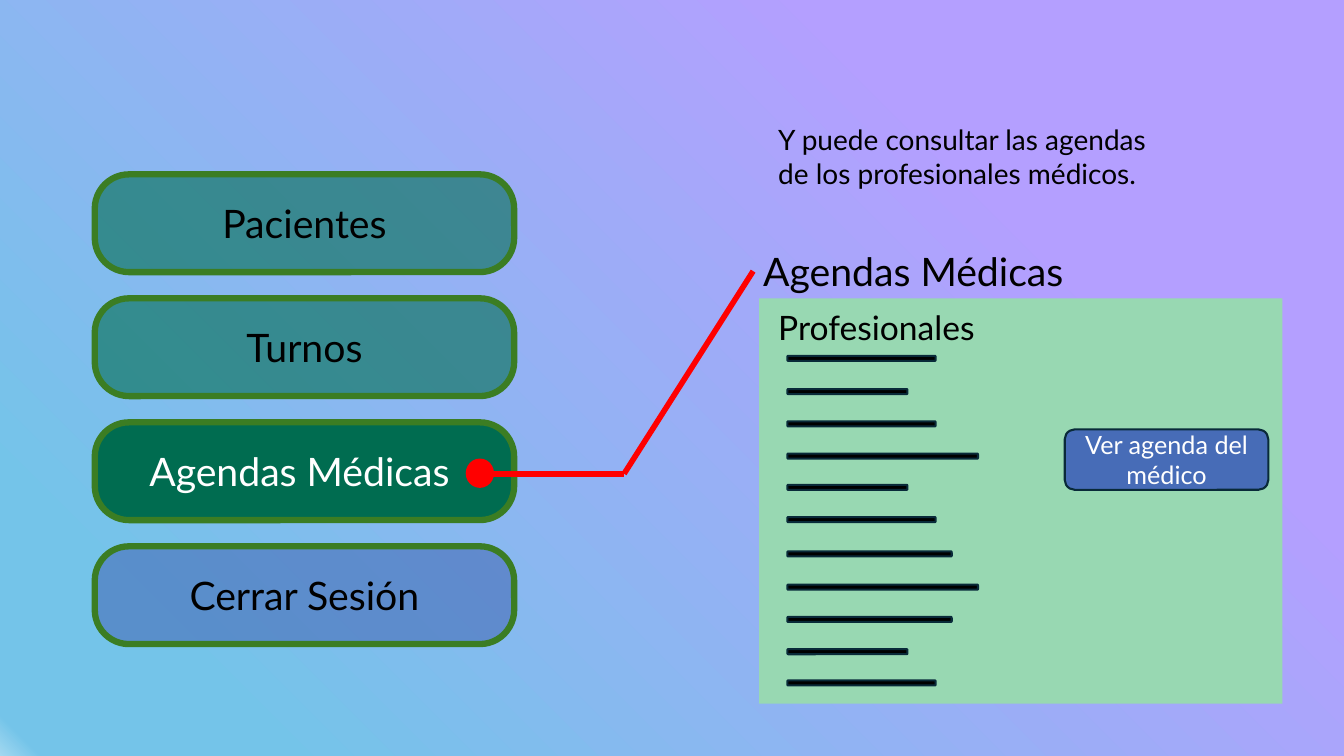
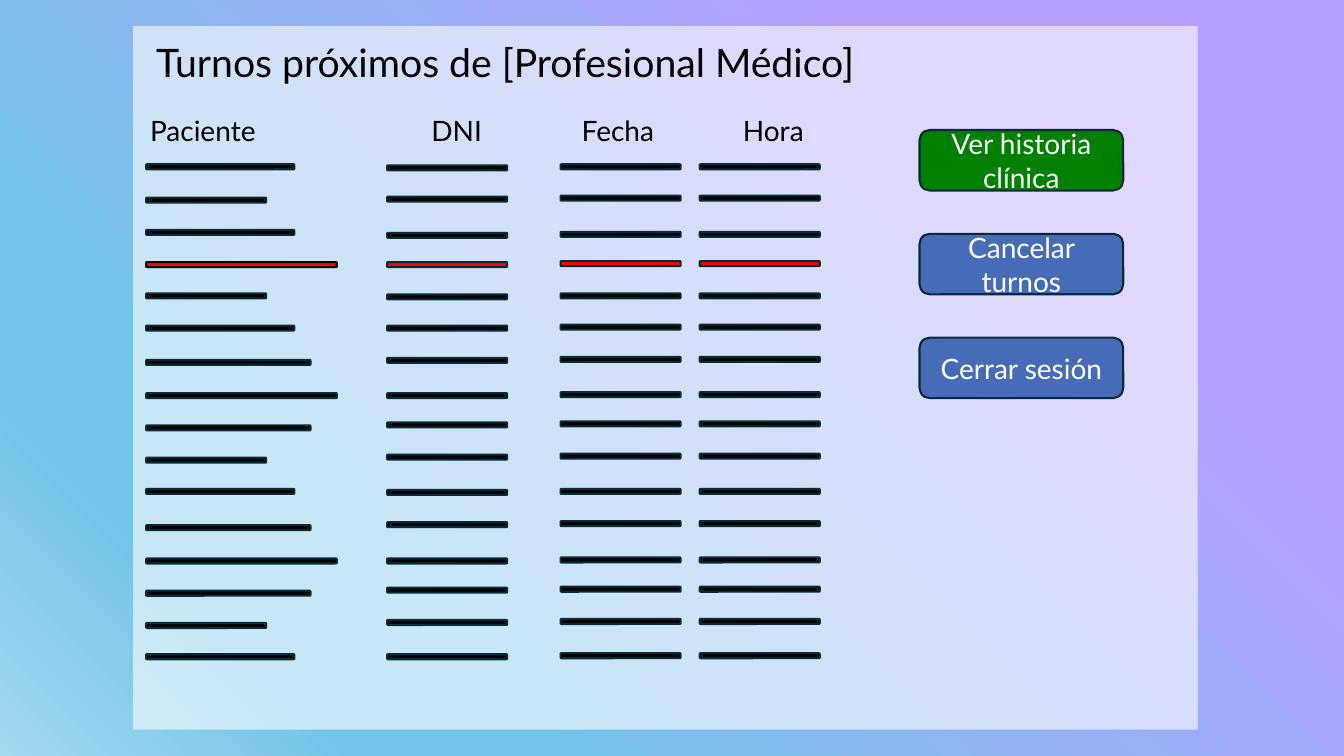
"""Build two slides that walk through a medical booking app."""
from dataclasses import dataclass

from lxml import etree
from pptx import Presentation
from pptx.dml.color import RGBColor
from pptx.enum.shapes import MSO_CONNECTOR, MSO_SHAPE
from pptx.enum.text import MSO_ANCHOR, MSO_AUTO_SIZE, PP_ALIGN
from pptx.oxml.ns import qn
from pptx.shapes.autoshape import Shape
from pptx.slide import Slide
from pptx.util import Inches, Pt

RECT, ROUND, OVAL = MSO_SHAPE.RECTANGLE, MSO_SHAPE.ROUNDED_RECTANGLE, MSO_SHAPE.OVAL
LINE = MSO_CONNECTOR.STRAIGHT
LEFT, CENTER = PP_ALIGN.LEFT, PP_ALIGN.CENTER
TOP, MIDDLE = MSO_ANCHOR.TOP, MSO_ANCHOR.MIDDLE
GROW, FIXED = MSO_AUTO_SIZE.SHAPE_TO_FIT_TEXT, MSO_AUTO_SIZE.NONE

FONT = "Lato"
BLACK, WHITE, RED = "000000", "FFFFFF", "FF0000"
NAVY, BLUE, TEAL, MOSS = "092A39", "476CB7", "006C50", "3B7D23"
GREEN, MINT = "008000", "98D8B2"
SHADES = ("B49FFF", "74C4E9", "74C4E9", "A2D8F0")

THIN, BOLD, PATH = 1.5, 4.5, 4
BAR_H, BTN_W, BTN_H = 0.05, 2.02, 0.6
SHORT, MID, LONG, FULL = 1.19, 1.47, 1.63, 1.89

LIST_Y = (0, 0.33, 0.65, 0.97, 1.28, 1.6, 1.94, 2.27, 2.59, 2.91, 3.22)
LIST_W = (MID, SHORT, MID, FULL, SHORT, MID, LONG, FULL, LONG, SHORT, MID)
NAME_Y = LIST_Y + tuple(y + 1.64 for y in LIST_Y[6:])
NAME_W = LIST_W + LIST_W[6:]
CELL_Y = (0, 0.31, 0.67, 0.96, 1.28, 1.59, 1.91, 2.26,
          2.55, 2.87, 3.22, 3.54, 3.9, 4.19, 4.51, 4.85)
CELL_W = (SHORT,) * len(CELL_Y)
PICK = 3


@dataclass(frozen=True)
class Box:
    """Place and size in inches."""
    x: float
    y: float
    w: float
    h: float


@dataclass(frozen=True)
class Button:
    """Label and colours of a button."""
    text: str
    fill: str
    ink: str = WHITE
    alpha: int = 100


@dataclass(frozen=True)
class Column:
    """Heading and bars of a table column."""
    head: str
    head_x: float
    head_w: float
    x: float
    y: float
    tops: tuple[float, ...] = CELL_Y
    widths: tuple[float, ...] = CELL_W
    edge: str = NAVY


MENU = (
    Button("Pacientes", TEAL, BLACK, 60),
    Button("Turnos", TEAL, BLACK, 60),
    Button("Agendas Médicas ", TEAL),
    Button("Cerrar Sesión", BLUE, BLACK, 60),
)
TASKS = (
    Button("Ver historia clínica", GREEN),
    Button("Cancelar turnos", BLUE),
    Button("Cerrar sesión", BLUE),
)
COLUMNS = (
    Column("Paciente", 1.39, 1.26, 1.45, 1.63, NAME_Y, NAME_W, BLACK),
    Column("DNI", 4.18, 0.86, 3.84, 1.64),
    Column("Fecha", 5.67, 1.08, 5.56, 1.63),
    Column("Hora", 7.27, 0.86, 6.94, 1.63),
)


def tint(code: str) -> RGBColor:
    """Turn a hex string into a colour."""
    return RGBColor.from_string(code)


def apply(item: object, form: dict) -> None:
    """Set each format value on an item."""
    for key, value in form.items():
        setattr(item, key, value)


def place(box: Box) -> tuple:
    """Give a box as lengths."""
    return Inches(box.x), Inches(box.y), Inches(box.w), Inches(box.h)


def write(shape: Shape, text: str, size: int, ink: str, form: dict, align: PP_ALIGN) -> None:
    """Put one styled paragraph in a shape."""
    frame = shape.text_frame
    apply(frame, {"word_wrap": True, **form})
    para = frame.paragraphs[0]
    para.alignment = align
    run = para.add_run()
    run.text = text
    apply(run.font, {"name": FONT, "size": Pt(size)})
    run.font.color.rgb = tint(ink)


def label(slide: Slide, box: Box, text: str, size: int) -> None:
    """Add a plain text box."""
    shape = slide.shapes.add_textbox(*place(box))
    write(shape, text, size, BLACK, {"auto_size": GROW, "vertical_anchor": TOP}, LEFT)


def block(slide: Slide, kind: MSO_SHAPE, box: Box, fill: str, edge: str = "",
          width: float = THIN, alpha: int = 100) -> Shape:
    """Add a filled shape, with an edge if one is named."""
    shape = slide.shapes.add_shape(kind, *place(box))
    shape.shadow.inherit = False
    shape.fill.solid()
    shape.fill.fore_color.rgb = tint(fill)
    if alpha < 100:
        color = shape.element.spPr.find(f"{qn('a:solidFill')}/{qn('a:srgbClr')}")
        etree.SubElement(color, qn("a:alpha"), val=str(alpha * 1000))
    if edge:
        shape.line.color.rgb = tint(edge)
        shape.line.width = Pt(width)
    else:
        shape.line.fill.background()
    return shape


def press(slide: Slide, box: Box, button: Button, size: int, edge: str = NAVY,
          width: float = THIN) -> Shape:
    """Add a button with centred text."""
    shape = block(slide, ROUND, box, button.fill, edge, width, button.alpha)
    form = {"auto_size": FIXED, "vertical_anchor": MIDDLE}
    write(shape, button.text, size, button.ink, form, CENTER)
    return shape


def bars(slide: Slide, x: float, y: float, tops: tuple, widths: tuple,
         pick: int = -1, edge: str = NAVY) -> None:
    """Draw a column of bars, the picked one in red."""
    for row, (top, width) in enumerate(zip(tops, widths)):
        fill, rim = (RED, edge) if row == pick else (BLACK, NAVY)
        block(slide, ROUND, Box(x, y + top, width, BAR_H), fill, rim)


def trace(slide: Slide, points: tuple) -> None:
    """Join points with red lines."""
    for start, end in zip(points, points[1:]):
        line = slide.shapes.add_connector(LINE, *(Inches(v) for v in start + end))
        line.line.color.rgb = tint(RED)
        line.line.width = Pt(PATH)
        etree.SubElement(line.element.spPr, qn("a:effectLst"))


def backdrop(slide: Slide, stops: tuple) -> None:
    """Fill the background from top right to bottom left."""
    fill = slide.background.fill
    fill.gradient()
    fill.gradient_angle = 225
    items = slide.element.find(f".//{qn('a:gsLst')}")
    for old in list(items):
        items.remove(old)
    for stop, shade in zip(stops, SHADES):
        item = etree.SubElement(items, qn("a:gs"), pos=str(stop * 1000))
        etree.SubElement(item, qn("a:srgbClr"), val=shade)


def agenda(slide: Slide) -> None:
    """Draw the menu and the list of doctors."""
    backdrop(slide, (25, 87, 98, 100))
    for row, button in enumerate(MENU):
        shape = press(slide, Box(0.94, 1.73 + 1.23 * row, 4.16, 0.97), button, 28, MOSS, BOLD)
        shape.adjustments[0] = 0.35
    label(slide, Box(7.47, 2.4, 5.35, 0.57), "Agendas Médicas", 28)
    block(slide, RECT, Box(7.53, 2.96, 5.19, 4.02), MINT)
    label(slide, Box(7.62, 3, 2.93, 0.5), "Profesionales", 24)
    bars(slide, 7.81, 3.53, LIST_Y, LIST_W)
    press(slide, Box(10.56, 4.26, BTN_W, BTN_H), Button("Ver agenda del médico", BLUE), 18)
    block(slide, OVAL, Box(4.63, 4.56, 0.26, 0.27), RED, RED)
    trace(slide, ((4.89, 4.7), (6.19, 4.7), (7.47, 2.69)))
    label(slide, Box(7.62, 1.17, 4.14, 0.77),
          "Y puede consultar las agendas de los profesionales médicos.", 20)


def visits(slide: Slide) -> None:
    """Draw the table of visits and its buttons."""
    backdrop(slide, (24, 74, 83, 100))
    block(slide, RECT, Box(1.32, 0.26, 10.56, 6.98), WHITE, alpha=60)
    label(slide, Box(1.45, 0.33, 7.23, 0.57), "Turnos próximos de [Profesional Médico]", 28)
    for col in COLUMNS:
        label(slide, Box(col.head_x, 1.08, col.head_w, 0.44), col.head, 20)
        bars(slide, col.x, col.y, col.tops, col.widths, PICK, col.edge)
    for row, button in enumerate(TASKS):
        press(slide, Box(9.12, 1.29 + 1.03 * row, BTN_W, BTN_H), button, 20)


def main() -> None:
    """Build and save the deck."""
    deck = Presentation()
    apply(deck, {"slide_width": Inches(13.33), "slide_height": Inches(7.5)})
    for draw in (agenda, visits):
        draw(deck.slides.add_slide(deck.slide_layouts[6]))
    deck.save("out.pptx")


if __name__ == "__main__":
    main()
